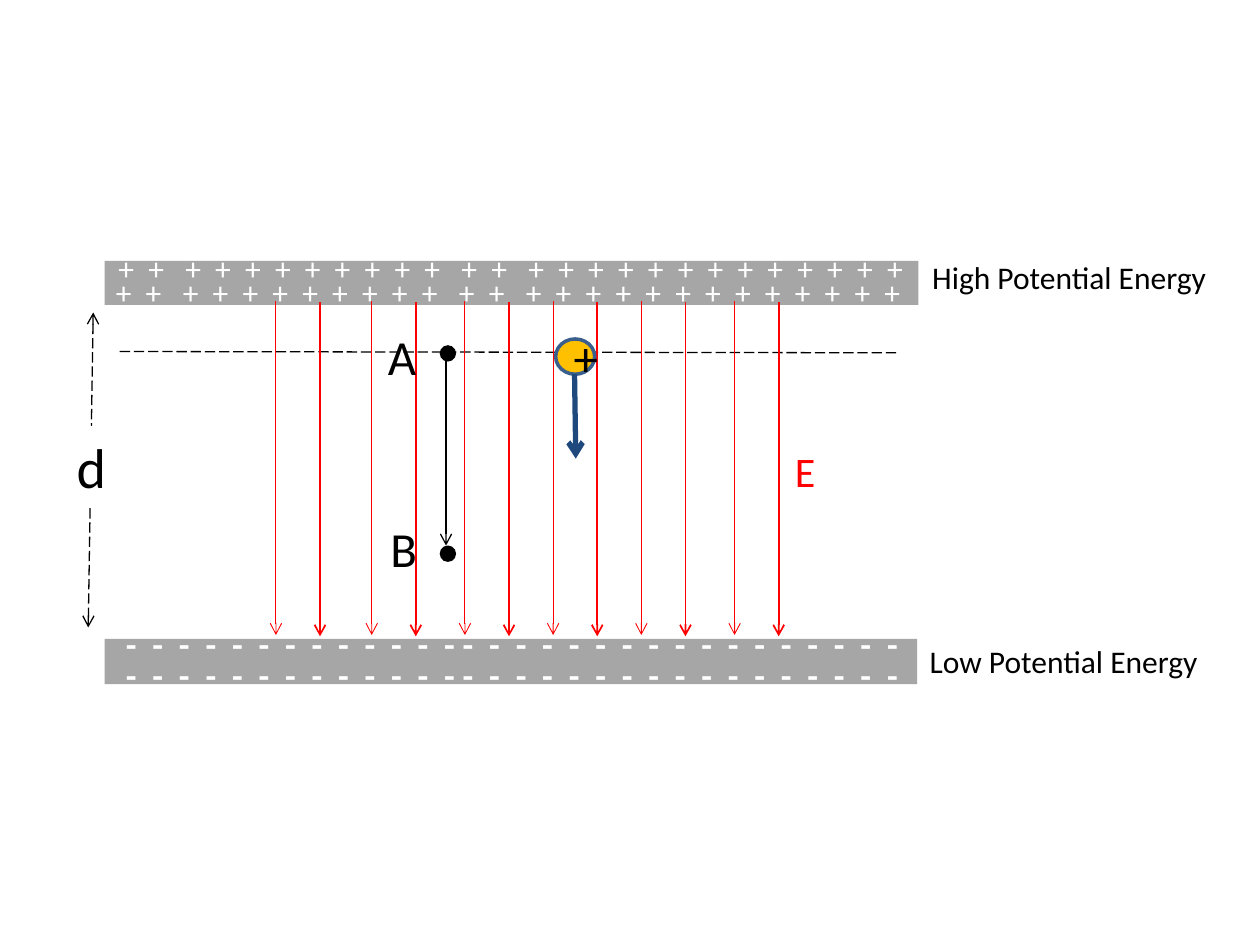
from itertools import accumulate

from lxml.etree import SubElement
from pptx import Presentation
from pptx.dml.color import RGBColor
from pptx.enum.dml import MSO_LINE_DASH_STYLE as Dash
from pptx.enum.shapes import MSO_CONNECTOR as Connector
from pptx.enum.shapes import MSO_SHAPE as Shape
from pptx.enum.text import MSO_ANCHOR as Anchor
from pptx.enum.text import MSO_AUTO_SIZE as AutoSize
from pptx.enum.text import PP_ALIGN as Align
from pptx.oxml.ns import qn
from pptx.util import Pt

PX = 9144
BLACK, WHITE, RED, GREY = "000000", "FFFFFF", "FF0000", "A6A6A6"
GOLD, BLUE, NAVY = "FFC000", "3A5F8C", "1F497D"


def px(*lengths):
    return [round(length * PX) for length in lengths]


def color(value):
    return RGBColor.from_string(value)


def apply(target, values):
    for name, value in values.items():
        setattr(target, name, value)


def write(para, text, size, shade, bold=False):
    span = para.add_run()
    span.text = text
    apply(span.font, {"name": "Calibri", "size": Pt(size), "bold": bold})
    span.font.color.rgb = color(shade)


def add_label(slide, box, text, size, shade=BLACK, fill=None):
    label = slide.shapes.add_textbox(*px(*box))
    if fill:
        label.fill.solid()
        label.fill.fore_color.rgb = color(fill)
    apply(label.text_frame, {"word_wrap": False, "auto_size": AutoSize.SHAPE_TO_FIT_TEXT})
    write(label.text_frame.paragraphs[0], text, size, shade)


def add_solid(slide, kind, box, fill, outline=None):
    shape = slide.shapes.add_shape(kind, *px(*box))
    shape.shadow.inherit = False
    shape.fill.solid()
    shape.fill.fore_color.rgb = color(fill)
    if outline:
        shape.line.color.rgb = color(outline)
        shape.line.width = Pt(2)
    else:
        shape.line.fill.background()
    return shape


def add_line(slide, start, end, shade, width, ends=(), dash=None):
    line = slide.shapes.add_connector(Connector.STRAIGHT, *px(*start, *end))
    line.line.color.rgb = color(shade)
    apply(line.line, {"width": Pt(width), "dash_style": dash})
    properties = line._element.spPr
    for end_name in ends:
        SubElement(properties.find(qn("a:ln")), qn(f"a:{end_name}"), type="arrow")
    SubElement(properties, qn("a:effectLst"))


def add_charge_row(slide, box, sign, size, gaps, span_width, inset, bold=False):
    row = slide.shapes.add_textbox(*px(*box))
    apply(row.text_frame, {"word_wrap": True, "margin_left": inset * PX, "margin_right": 0})
    para = row.text_frame.paragraphs[0]
    para.alignment = Align.LEFT
    tabs = SubElement(para._p.get_or_add_pPr(), qn("a:tabLst"))
    pitch = span_width / sum(gaps)
    for stop in accumulate(gaps):
        SubElement(tabs, qn("a:tab"), pos=str(round(stop * pitch * PX)), algn="l")
    write(para, "\t".join(sign * (len(gaps) + 1)), size, WHITE, bold)


def add_positive_plate(slide, box):
    left, top, width, height = box
    add_solid(slide, Shape.RECTANGLE, box, GREY)
    gaps = [1.24 if index in (1, 10, 12) else 1 for index in range(25)]
    for dx, dy in ((-8, 5), (-6, -14)):
        add_charge_row(slide, (left + dx, top + dy, 657, 40), "+", 18, gaps, 610, 17)
    add_label(slide, (left + width + 1, top - 7, 248, 40), "High Potential Energy", 18)


def add_negative_plate(slide, box):
    left, top, width, height = box
    add_solid(slide, Shape.RECTANGLE, box, GREY)
    gaps = [0.7 if index == 12 else 1 for index in range(29)]
    for dy in (7, -18):
        add_charge_row(slide, (left - 1, top + dy, 646, 44), "-", 20, gaps, 604, 18, True)
    add_label(slide, (left + width, top - 2, 235, 40), "Low Potential Energy", 18)


def add_field(slide, box):
    left, top, width, height = box
    for offset in (0, 76, 150, 220, 290, 364):
        x = left + offset
        add_line(slide, (x, top), (x, top + height), RED, 0.5, ["tailEnd"])
        add_line(slide, (x + 35, top + 1), (x + 35, top + height + 1), RED, 1, ["tailEnd"])
    add_label(slide, (left + width + 3, top + 110, 37, 50), "E", 24, RED)


def add_charge(slide, box):
    left, top, width, height = box
    ball = add_solid(slide, Shape.OVAL, box, GOLD, BLUE)
    ball.text_frame.vertical_anchor = Anchor.MIDDLE
    para = ball.text_frame.paragraphs[0]
    para.alignment = Align.CENTER
    write(para, "+", 28, BLACK)
    bottom = top + height
    add_line(slide, (left + 15, bottom), (left + 16, bottom + 67), NAVY, 3, ["tailEnd"])


def add_distance(slide, box):
    left, top, width, height = box
    add_line(slide, (left + width, top), (left, top + height), BLACK, 0.75,
             ["headEnd", "tailEnd"], Dash.LONG_DASH)
    add_label(slide, (left - 19, top + 90, 44, 64), "d", 32, BLACK, WHITE)


def add_path(slide, box):
    left, top, width, height = box
    bottom = top + height - width
    add_line(slide, (left + 5, top + 6), (left + 5, bottom), BLACK, 0.75, ["tailEnd"])
    for name, y, dx in (("A", top, -51), ("B", bottom, -49)):
        add_solid(slide, Shape.OVAL, (left, y, width, width), BLACK)
        add_label(slide, (left + dx, y - 20 - (name == "B") * 6, 43, 57), name, 28)


def main():
    deck = Presentation()
    apply(deck, dict(zip(("slide_width", "slide_height"), px(1000, 750))))
    slide = deck.slides.add_slide(deck.slide_layouts[6])
    add_line(slide, (95, 279), (713, 280), BLACK, 0.75, dash=Dash.LONG_DASH)
    add_positive_plate(slide, (83, 207, 646, 35))
    add_negative_plate(slide, (83, 507, 645, 36))
    add_field(slide, (219, 239, 399, 265))
    add_charge(slide, (441, 269, 31, 28))
    add_distance(slide, (70, 248, 4, 250))
    add_path(slide, (349, 274, 13, 172))
    deck.save("out.pptx")


if __name__ == "__main__":
    main()
